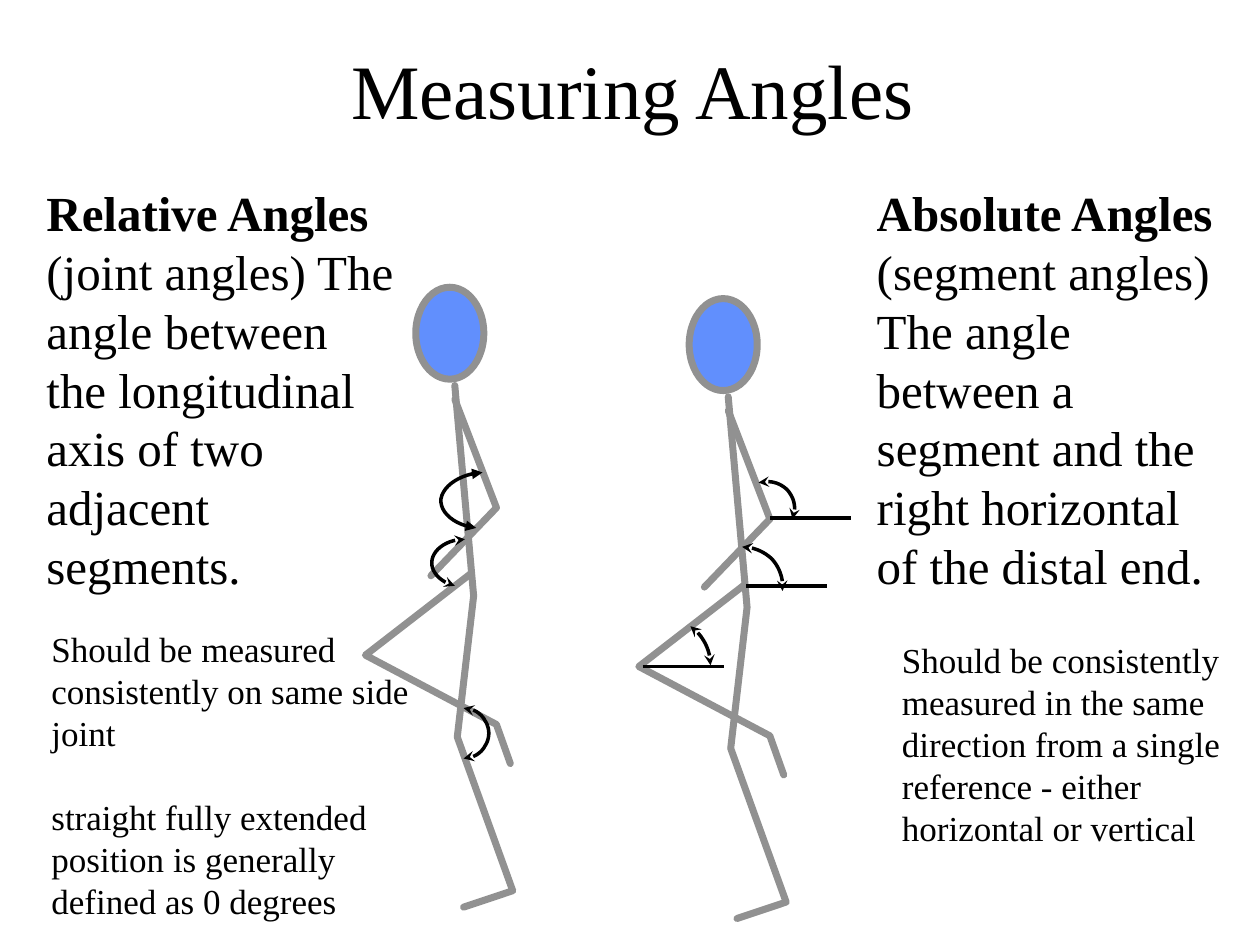
from lxml import etree
from pptx import Presentation
from pptx import util as u
from pptx.dml.color import RGBColor
from pptx.enum import shapes, text
from pptx.oxml import ns

COLORS = {"ink": "000000", "limb": "919191", "head": "618FFD"}
FONT = "Times New Roman"
CELL = u.Inches(0.1)
COLUMNS, ROWS = 100, 75
FIGURE_SHIFT = (21.7, 0.9)
LIMBS = [
    [(36.1, 30.6), (37.6, 47.3), (36.3, 58.5), (40.7, 70.7), (36.8, 72)],
    [(36.1, 31.7), (39.4, 40.3), (34.2, 45.7)],
    [(37.4, 45.5), (29, 52), (39.4, 57.5), (40.5, 60.6)],
]
ELBOW_ARC = [(37.8, 41.9), (36.1, 41.7), (34.9, 40.7), (35, 39.6),
             (35.2, 38.5), (36.6, 37.6), (38.3, 37.5)]
STEALTH_ARCS = [
    [(36.1, 46.5), (34.9, 46.2), (34.1, 45.3), (34.3, 44.4),
     (34.5, 43.5), (35.6, 42.8), (36.9, 42.8)],
    [(36.8, 56.2), (37.5, 56.2), (38.2, 56.6), (38.5, 57.2), (38.9, 57.8),
     (38.9, 58.6), (38.5, 59.2), (38.2, 59.8), (37.5, 60.2), (36.8, 60.2)],
    [(54.8, 49.7), (55.8, 50.4), (56.4, 51.6), (56.4, 52.8)],
    [(58.9, 43.4), (59.8, 43.4), (60.7, 43.8), (61.3, 44.4),
     (61.9, 45.1), (62.2, 46), (62.1, 46.9)],
    [(60.2, 38.3), (61.1, 38.1), (61.9, 38.3), (62.5, 38.9),
     (63.1, 39.6), (63.2, 40.4), (62.9, 41.2)],
]
HORIZONTALS = [(51, 52.9), (59.2, 46.5), (61.1, 41.1)]
HORIZONTAL_LENGTH = 6.45


def cells(*values):
    return [round(value * CELL) for value in values]


def color(name):
    return RGBColor.from_string(COLORS[name])


def add_text(page, area, paragraphs, size, wrap=True, title=False, gap_before=None):
    box = page.shapes.add_textbox(*cells(*area))
    frame = box.text_frame
    frame.word_wrap = wrap
    if title:
        frame.vertical_anchor = text.MSO_ANCHOR.MIDDLE
    else:
        frame.auto_size = text.MSO_AUTO_SIZE.SHAPE_TO_FIT_TEXT
    for index, spans in enumerate(paragraphs):
        para = frame.paragraphs[0] if index == 0 else frame.add_paragraph()
        para.alignment = text.PP_ALIGN.CENTER if title else text.PP_ALIGN.LEFT
        if index == gap_before:
            para.space_before = u.Pt(size * 1.2)
        for words, bold in spans:
            span = para.add_run()
            span.text = words
            span.font.name = FONT
            span.font.size = u.Pt(size)
            span.font.bold = bold
            span.font.color.rgb = color("ink")


def plain_lines(*lines):
    return [[(line, False)] for line in lines]


def style_line(shape, name, width, arrow=None):
    shape.line.color.rgb = color(name)
    shape.line.width = u.Pt(width)
    outline = shape.line._get_or_add_ln()
    if name == "limb":
        outline.set("cap", "rnd")
        etree.SubElement(outline, ns.qn("a:round"))
    if arrow:
        for end in ("a:headEnd", "a:tailEnd"):
            etree.SubElement(outline, ns.qn(end), type=arrow)


def add_path(page, points, name, width, arrow=None):
    corners = [cells(*point) for point in points]
    builder = page.shapes.build_freeform(*corners[0])
    builder.add_line_segments(corners[1:], close=False)
    shape = builder.convert_to_shape()
    shape.fill.background()
    shape.shadow.inherit = False
    style_line(shape, name, width, arrow)


def curve_points(controls, steps=12):
    points = [controls[0]]
    for start in range(0, len(controls) - 1, 3):
        corners = controls[start:start + 4]
        for step in range(1, steps + 1):
            t = step / steps
            weights = ((1 - t) ** 3, 3 * t * (1 - t) ** 2, 3 * t * t * (1 - t), t ** 3)
            points.append(tuple(sum(w * corner[axis] for w, corner in zip(weights, corners))
                                for axis in (0, 1)))
    return points


def add_arc(page, controls, arrow):
    add_path(page, curve_points(controls), "ink", 2, arrow)


def add_figure(page, right, down):
    head = page.shapes.add_shape(shapes.MSO_SHAPE.OVAL,
                                 *cells(33 + right, 22.8 + down, 5.4, 7.3))
    head.shadow.inherit = False
    head.fill.solid()
    head.fill.fore_color.rgb = color("head")
    style_line(head, "limb", 4)
    for limb in LIMBS:
        add_path(page, [(x + right, y + down) for x, y in limb], "limb", 4)


def add_horizontal(page, left, top):
    line = page.shapes.add_connector(shapes.MSO_CONNECTOR.STRAIGHT,
                                     *cells(left, top, left + HORIZONTAL_LENGTH, top))
    style_line(line, "ink", 2)
    etree.SubElement(line._element.spPr, ns.qn("a:effectLst"))


def main():
    deck = Presentation()
    deck.slide_width, deck.slide_height = cells(COLUMNS, ROWS)
    page = deck.slides.add_slide(deck.slide_layouts[6])

    add_text(page, (7.7, 0.8, 85, 12.5), plain_lines("Measuring Angles"), 44, title=True)
    add_text(page, (2.7, 14, 29.9, 33.7), [[
        ("Relative Angles", True),
        (" (joint angles) The angle between the longitudinal axis of two adjacent segments.",
         False)]], 28)
    add_text(page, (68.6, 14, 30.1, 33.7), [
        [("Absolute Angles", True)],
        [("(segment angles) The angle between a segment and the right horizontal "
          "of the distal end.", False)]], 28)

    add_figure(page, 0, 0)
    add_figure(page, *FIGURE_SHIFT)
    add_arc(page, ELBOW_ARC, "triangle")
    for controls in STEALTH_ARCS:
        add_arc(page, controls, "stealth")
    for left, top in HORIZONTALS:
        add_horizontal(page, left, top)

    add_text(page, (3.1, 49.3, 31, 24.4), plain_lines(
        "Should be measured", "consistently on same side", "joint",
        "straight fully extended", "position is generally", "defined as 0 degrees"),
        20, wrap=False, gap_before=3)
    add_text(page, (70.6, 50.2, 27.3, 17.7), plain_lines(
        "Should be consistently", "measured in the same", "direction from a single",
        "reference - either", "horizontal or vertical"), 20, wrap=False)
    deck.save("out.pptx")


if __name__ == "__main__":
    main()
